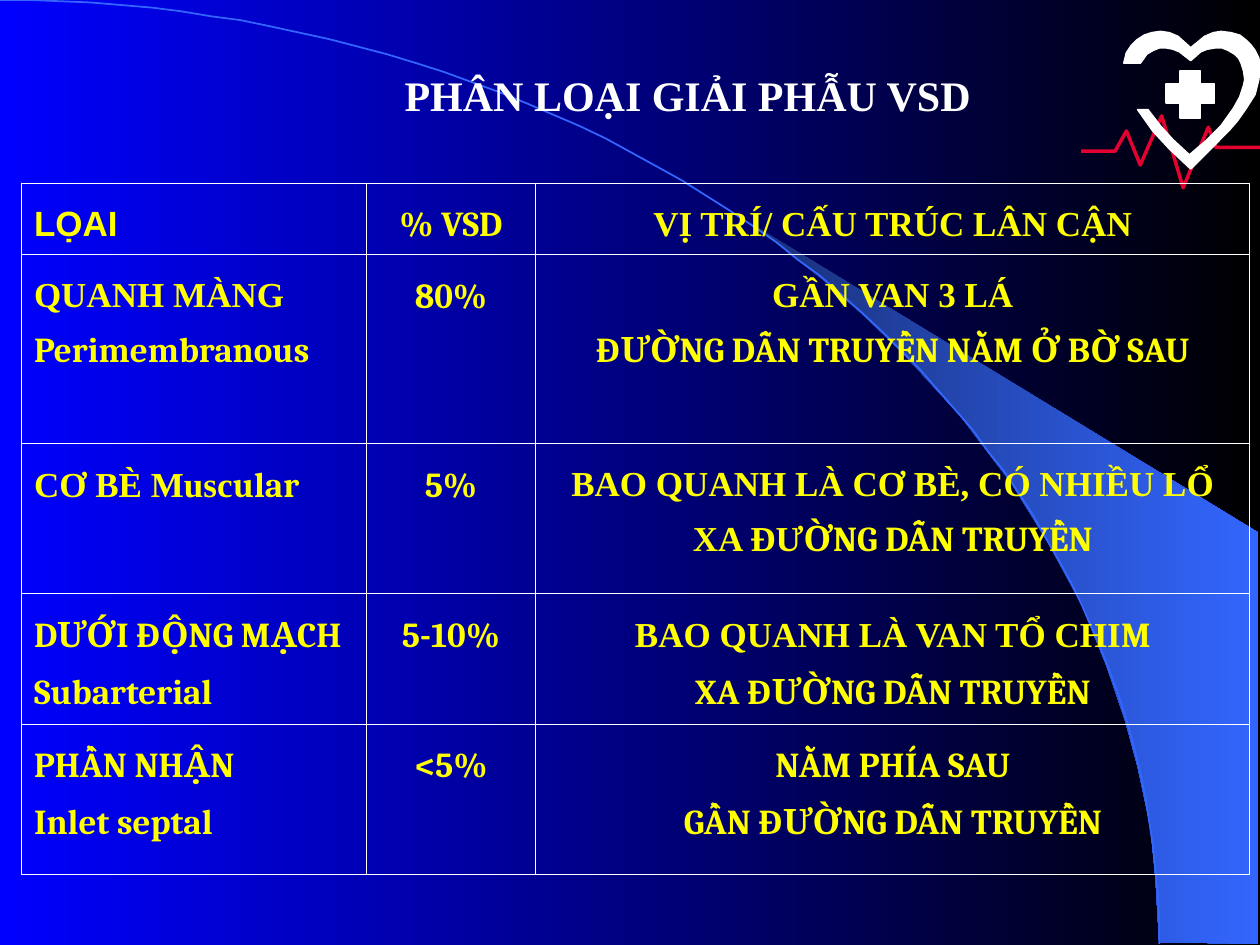
from math import cos, pi, sin

from lxml.etree import SubElement
from pptx import Presentation
from pptx.dml.color import RGBColor
from pptx.enum.shapes import MSO_SHAPE as SHAPE
from pptx.enum.text import MSO_ANCHOR as ANCHOR, MSO_AUTO_SIZE as AUTO, PP_ALIGN as ALIGN
from pptx.oxml.ns import qn
from pptx.util import Pt

WHITE, YELLOW, BLUE, RED = "FFFFFF", "FFFF00", "3366FF", "E50032"
TIMES, CAMBRIA, ARIAL = "Times New Roman", "Cambria", "Arial"
UNIT = Pt(0.72)


def rgb(value):
    return RGBColor.from_string(value)


def paint(sp, fill=None, line=None, width=1):
    sp.shadow.inherit = False
    if isinstance(fill, tuple):
        sp.fill.gradient()
        sp.fill.gradient_angle = 0
        for stop, value in zip(sp.fill.gradient_stops, fill):
            stop.color.rgb = rgb(value)
    elif fill:
        sp.fill.solid()
        sp.fill.fore_color.rgb = rgb(fill)
    else:
        sp.fill.background()
    if line:
        sp.line.color.rgb = rgb(line)
        sp.line.width = Pt(width)
    else:
        sp.line.fill.background()


prs = Presentation()
prs.slide_width, prs.slide_height = Pt(720), Pt(540)
s = prs.slides.add_slide(prs.slide_layouts[5])

bg = s.background.fill
bg.gradient()
bg.gradient_angle = 0
for stop, value in zip(bg.gradient_stops, ("0000FF", "000000")):
    stop.color.rgb = rgb(value)

beam = [(920, 748), (999, 749), (999, 423), (589, 173), (624, 199), (653, 222),
        (685, 250), (716, 280), (762, 330), (803, 384), (832, 431), (858, 479),
        (878, 528), (893, 572), (903, 609), (913, 656), (917, 696)]
steps = 60
arc = [(round(920 * sin(pi / 2 * i / steps)), round(749 - 749 * cos(pi / 2 * i / steps)))
       for i in range(steps + 1)]
pulse = [(858, 120), (885, 120), (894, 104), (905, 131), (922, 92), (939, 149),
         (959, 101), (965, 117), (1000, 117)]
heart = [(911, 87), (921, 100), (931, 111), (944, 123), (958, 111), (969, 100), (979, 86),
         (984, 77), (987, 68), (988, 63), (987, 56), (985, 50), (983, 46), (980, 43),
         (975, 40), (970, 38), (964, 38), (958, 39), (953, 41), (945, 48), (936, 41),
         (931, 39), (926, 38), (920, 38), (915, 40), (910, 43), (908, 46), (905, 50),
         (892, 50), (894, 42), (898, 36), (902, 32), (908, 28), (914, 26), (921, 25),
         (928, 26), (935, 29), (945, 38), (956, 29), (963, 26), (969, 25), (977, 26),
         (984, 28), (989, 32), (993, 36), (996, 40), (999, 46), (1000, 54), (999, 63),
         (996, 75), (989, 86), (982, 96), (975, 104), (945, 134), (928, 118), (915, 104),
         (903, 87)]
for points, fill, line, width in [(beam, ("182F76", BLUE), None, 1), (arc, None, BLUE, 1),
                                  (pulse, None, RED, 2), (heart, WHITE, WHITE, 1)]:
    builder = s.shapes.build_freeform(*points[0], scale=UNIT)
    builder.add_line_segments(points[1:], close=fill is not None)
    paint(builder.convert_to_shape(), fill, line, width)

for box in [(674.5, 40.5, 11.5, 27), (666.5, 48, 27.5, 11)]:
    bar = s.shapes.add_shape(SHAPE.RECTANGLE, *map(Pt, box))
    paint(bar, WHITE, WHITE)

rows = [
    [[[("LỌAI", ARIAL)]],
     [[("% VSD", CAMBRIA)]],
     [[("VỊ TRÍ/ CẤU TRÚC LÂN CẬN", TIMES)]]],
    [[[("QUANH MÀNG ", TIMES), ("Perimembranous", CAMBRIA)]],
     [[("80%", CAMBRIA)]],
     [[("GẦN VAN 3 LÁ", TIMES)], [("ĐƯỜNG DẪN TRUYỀN NẰM Ở BỜ SAU", CAMBRIA)]]],
    [[[("CƠ BÈ Musc", TIMES), ("ular", CAMBRIA)]],
     [[("5%", CAMBRIA)]],
     [[("BAO QUANH LÀ CƠ BÈ, CÓ NHIỀU LỔ", TIMES)],
      [("XA ĐƯ", TIMES), ("ỜNG DẪN TRUYỀN", CAMBRIA)]]],
    [[[("DƯỚI ĐỘNG MẠCH Subarterial", CAMBRIA)]],
     [[("5-10%", CAMBRIA)]],
     [[("BAO QUANH LÀ VAN TỔ CHI", TIMES), ("M", CAMBRIA)],
      [("XA ĐƯỜNG DẪN TRUYỀN", CAMBRIA)]]],
    [[[("PHẦN NHẬN", CAMBRIA)], [("Inlet septal", CAMBRIA)]],
     [[("<5%", CAMBRIA)]],
     [[("NẰM PHÍA SAU", CAMBRIA)], [("GẦN ĐƯỜNG DẪN TRUYỀN", CAMBRIA)]]],
]
widths = [197, 97, 408]
heights = [40.75, 108.25, 85.75, 74.5, 85.75]
table = s.shapes.add_table(len(rows), len(widths), Pt(12.25), Pt(104.5),
                           Pt(sum(widths)), Pt(sum(heights))).table
table.first_row = table.horz_banding = False
for column, width in zip(table.columns, widths):
    column.width = Pt(width)
for row, height in zip(table.rows, heights):
    row.height = Pt(height)

for i, row in enumerate(rows):
    for j, paragraphs in enumerate(row):
        cell = table.cell(i, j)
        tcPr = cell._tc.get_or_add_tcPr()
        for side in ("lnL", "lnR", "lnT", "lnB"):
            ln = SubElement(tcPr, qn(f"a:{side}"), w=str(Pt(0.45)))
            SubElement(SubElement(ln, qn("a:solidFill")), qn("a:srgbClr"), val=WHITE)
        cell.fill.background()
        tf = cell.text_frame
        for k, runs in enumerate(paragraphs):
            p = tf.add_paragraph() if k else tf.paragraphs[0]
            p.alignment = ALIGN.CENTER if j else ALIGN.LEFT
            p.line_spacing = 1.4
            for text, font in runs:
                r = p.add_run()
                r.text = text
                r.font.name = font
                r.font.size = Pt(20)
                r.font.bold = True
                r.font.color.rgb = rgb(YELLOW)

title = s.shapes.title
title.left, title.top, title.width, title.height = Pt(114), Pt(36), Pt(558), Pt(36)
title.element.getparent().append(title.element)
tf = title.text_frame
tf.text = "PHÂN LOẠI GIẢI PHẪU VSD"
tf.word_wrap = True
tf.auto_size = AUTO.NONE
tf.vertical_anchor = ANCHOR.TOP
p = tf.paragraphs[0]
p.alignment = ALIGN.CENTER
p.space_before = Pt(15)
p.font.name = TIMES
p.font.size = Pt(24)
p.font.bold = True
p.font.color.rgb = rgb(WHITE)

prs.save("out.pptx")
